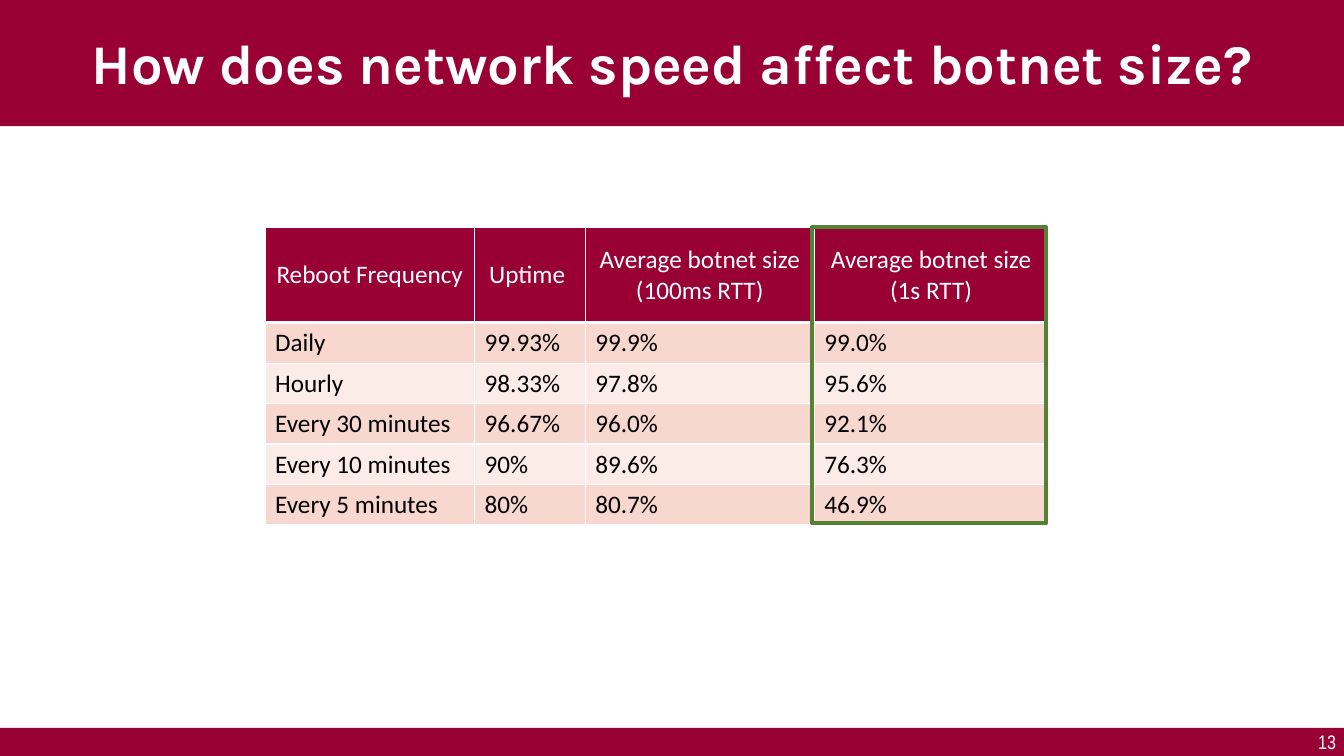
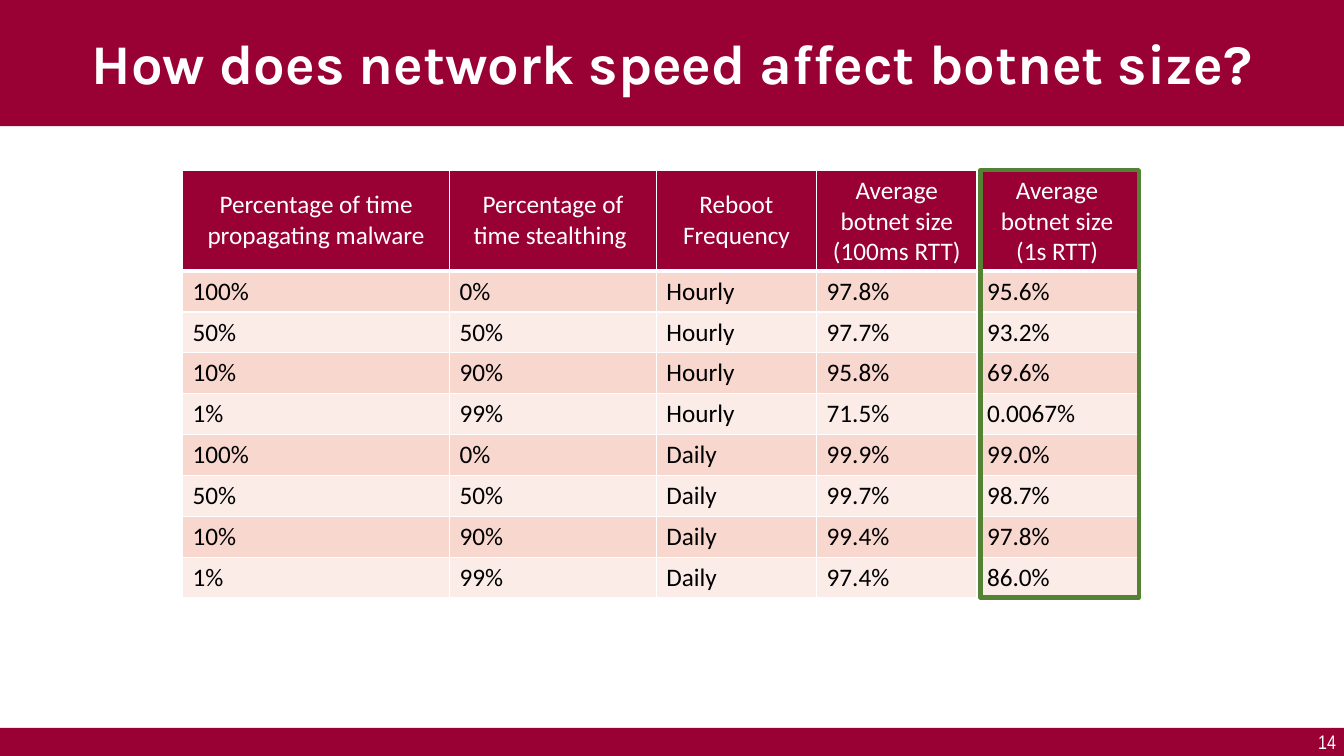
from dataclasses import dataclass

import lxml.etree
import pptx
import pptx.dml.color
import pptx.enum.shapes
import pptx.enum.text
import pptx.oxml.ns
import pptx.util

Cm = pptx.util.Cm
Pt = pptx.util.Pt
ALIGN = pptx.enum.text.PP_ALIGN
ANCHOR = pptx.enum.text.MSO_ANCHOR

# Shared look
COLORS = {
    "crimson": "990033",
    "white": "FFFFFF",
    "black": "000000",
    "odd_row": "F8D7CE",
    "even_row": "FCECE8",
    "highlight": "548235",
}
TITLE = "How does network speed affect botnet size?"
SLIDE_WIDTH, SLIDE_HEIGHT = 33.87, 19.05


@dataclass(frozen=True)
class Box:
    left: float
    top: float
    width: float
    height: float

    def lengths(self) -> tuple:
        return Cm(self.left), Cm(self.top), Cm(self.width), Cm(self.height)


@dataclass(frozen=True)
class TextStyle:
    font: str
    size: int
    color: str
    bold: bool = False
    align: ALIGN = ALIGN.LEFT
    anchor: ANCHOR = ANCHOR.TOP


@dataclass(frozen=True)
class ResultSlide:
    number: int
    left: float
    top: float
    widths: tuple
    header_height: float
    row_height: float
    header: tuple
    results: tuple
    highlight: Box


TITLE_BAND = Box(0, -0.05, SLIDE_WIDTH, 3.23)
FOOTER_BAND = Box(0, 18.34, SLIDE_WIDTH, 0.71)
PAGE_NUMBER = Box(32.97, 18.26, 1.14, 0.86)

TITLE_STYLE = TextStyle("Karla", 40, "white", True, ALIGN.CENTER, ANCHOR.MIDDLE)
NUMBER_STYLE = TextStyle("Arial Narrow", 14, "white")
HEADER_STYLE = TextStyle("Calibri", 18, "white", False, ALIGN.CENTER, ANCHOR.MIDDLE)
RESULT_STYLE = TextStyle("Calibri", 18, "black")

# Results shown on each slide
SIZE_HEADERS = ("Average botnet size (100ms RTT)", "Average botnet size (1s RTT)")
RESULT_SLIDES = (
    ResultSlide(
        number=13, left=6.68, top=5.74,
        widths=(5.28, 2.79, 5.77, 5.89),
        header_height=2.39, row_height=1.02,
        header=("Reboot Frequency", "Uptime ", *SIZE_HEADERS),
        results=(
            ("Daily", "99.93%", "99.9%", "99.0%"),
            ("Hourly", "98.33%", "97.8%", "95.6%"),
            ("Every 30 minutes", "96.67%", "96.0%", "92.1%"),
            ("Every 10 minutes", "90%", "89.6%", "76.3%"),
            ("Every 5 minutes", "80%", "80.7%", "46.9%"),
        ),
        highlight=Box(20.47, 5.72, 5.89, 7.47),
    ),
    ResultSlide(
        number=14, left=4.6, top=4.29,
        widths=(6.73, 5.21, 4.04, 4.04, 4.04),
        header_height=2.54, row_height=1.03,
        header=("Percentage of time propagating malware",
                "Percentage of time stealthing ",
                "Reboot\nFrequency", *SIZE_HEADERS),
        results=(
            ("100%", "0%", "Hourly", "97.8%", "95.6%"),
            ("50%", "50%", "Hourly", "97.7%", "93.2%"),
            ("10%", "90%", "Hourly", "95.8%", "69.6%"),
            ("1%", "99%", "Hourly", "71.5%", "0.0067%"),
            ("100%", "0%", "Daily", "99.9%", "99.0%"),
            ("50%", "50%", "Daily", "99.7%", "98.7%"),
            ("10%", "90%", "Daily", "99.4%", "97.8%"),
            ("1%", "99%", "Daily", "97.4%", "86.0%"),
        ),
        highlight=Box(24.71, 4.29, 3.99, 10.77),
    ),
)


def rgb(color: str) -> pptx.dml.color.RGBColor:
    return pptx.dml.color.RGBColor.from_string(COLORS[color])


def write(frame, text: str, style: TextStyle) -> None:
    frame.text = text
    for paragraph in frame.paragraphs:
        paragraph.alignment = style.align
        for run in paragraph.runs:
            run.font.name = style.font
            run.font.size = Pt(style.size)
            run.font.bold = style.bold
            run.font.color.rgb = rgb(style.color)


def add_rectangle(slide, box: Box):
    rectangle = slide.shapes.add_shape(
        pptx.enum.shapes.MSO_SHAPE.RECTANGLE, *box.lengths())
    rectangle.shadow.inherit = False
    return rectangle


def add_band(slide, box: Box):
    band = add_rectangle(slide, box)
    band.fill.solid()
    band.fill.fore_color.rgb = rgb("crimson")
    band.line.fill.background()
    return band


def add_frame(slide, number: int) -> None:
    add_band(slide, FOOTER_BAND)
    title = add_band(slide, TITLE_BAND).text_frame
    title.word_wrap = True
    title.vertical_anchor = TITLE_STYLE.anchor
    write(title, TITLE, TITLE_STYLE)
    page = slide.shapes.add_textbox(*PAGE_NUMBER.lengths()).text_frame
    page.word_wrap = True
    page.auto_size = pptx.enum.text.MSO_AUTO_SIZE.SHAPE_TO_FIT_TEXT
    write(page, str(number), NUMBER_STYLE)


def set_borders(cell, top: int, bottom: int) -> None:
    properties = cell._tc.get_or_add_tcPr()
    qn = pptx.oxml.ns.qn
    widths = {"a:lnL": 1, "a:lnR": 1, "a:lnT": top, "a:lnB": bottom}
    for position, (side, width) in enumerate(widths.items()):
        border = lxml.etree.Element(qn(side), w=str(Pt(width)))
        fill = lxml.etree.SubElement(border, qn("a:solidFill"))
        lxml.etree.SubElement(fill, qn("a:srgbClr"), val=COLORS["white"])
        properties.insert(position, border)


def add_results(slide, content: ResultSlide) -> None:
    rows = (content.header, *content.results)
    heights = [content.header_height] + [content.row_height] * len(content.results)
    area = Box(content.left, content.top, sum(content.widths), sum(heights))
    table = slide.shapes.add_table(
        len(rows), len(content.widths), *area.lengths()).table
    for column, width in zip(table.columns, content.widths):
        column.width = Cm(width)
    for index, (row, height, texts) in enumerate(zip(table.rows, heights, rows)):
        row.height = Cm(height)
        style = RESULT_STYLE if index else HEADER_STYLE
        band = "odd_row" if index % 2 else "even_row"
        for cell, text in zip(row.cells, texts):
            cell.fill.solid()
            cell.fill.fore_color.rgb = rgb(band if index else "crimson")
            cell.vertical_anchor = style.anchor
            write(cell.text_frame, text, style)
            set_borders(cell, top=3 if index == 1 else 1,
                        bottom=1 if index else 3)


def add_highlight(slide, box: Box) -> None:
    outline = add_rectangle(slide, box)
    outline.fill.background()
    outline.line.color.rgb = rgb("highlight")
    outline.line.width = Pt(3)


# Build the presentation
deck = pptx.Presentation()
deck.slide_width, deck.slide_height = Cm(SLIDE_WIDTH), Cm(SLIDE_HEIGHT)
for content in RESULT_SLIDES:
    slide = deck.slides.add_slide(deck.slide_layouts[6])
    add_frame(slide, content.number)
    add_results(slide, content)
    add_highlight(slide, content.highlight)
deck.save("out.pptx")
